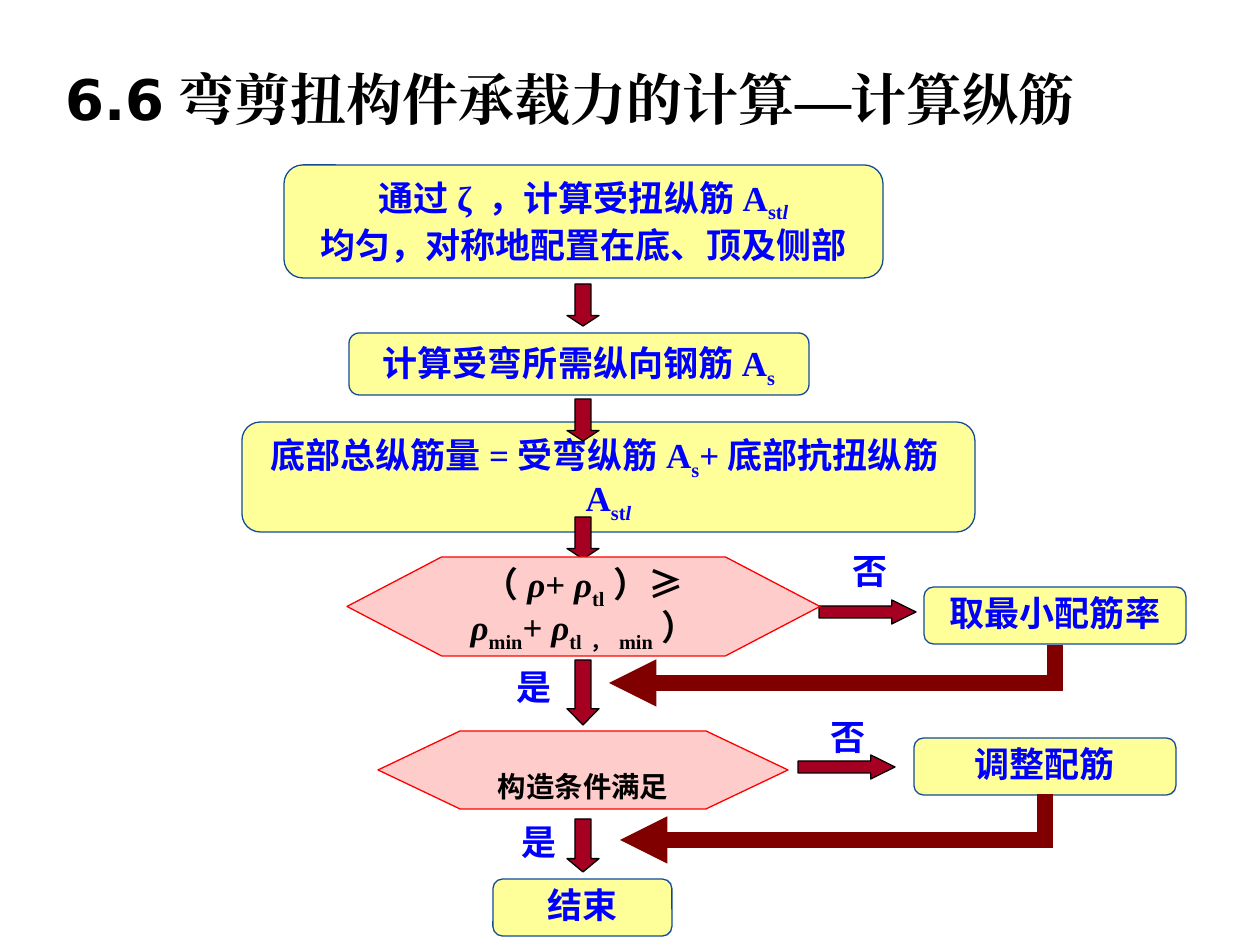
from lxml import etree
from pptx import Presentation
from pptx.dml.color import RGBColor
from pptx.enum.shapes import MSO_CONNECTOR, MSO_SHAPE
from pptx.enum.text import MSO_ANCHOR, PP_ALIGN
from pptx.oxml.ns import qn
from pptx.util import Pt

BOX = MSO_SHAPE.FLOWCHART_ALTERNATE_PROCESS
HEXAGON = MSO_SHAPE.FLOWCHART_PREPARATION
DOWN, RIGHT = MSO_SHAPE.DOWN_ARROW, MSO_SHAPE.RIGHT_ARROW
MIDDLE, TOP = MSO_ANCHOR.MIDDLE, MSO_ANCHOR.TOP
PX = 914400 / 126
SERIF, SANS, CJK = "Times New Roman", "DejaVu Sans", "Noto Sans CJK SC"
COLORS = {"box": "FFFF99", "box_line": "124B98", "hexagon": "FFCCCC",
          "hexagon_line": "FF0000", "arrow": "A50021", "return": "800000",
          "text": "0000FF", "black": "000000"}

# Text is a list of paragraphs; a paragraph is a list of (text, style) runs.
# Styles: "" plain, "i" italic, "s" subscript, "si" both.
TITLE = [[("6.6弯剪扭构件承载力的计算—计算纵筋 ", "")]]
TITLE_AT = (0, 59, 1155, 78)
STEPS = [
    ((284, 165, 599, 113),
     [[("通过ζ ，计算受扭纵筋A", ""), ("st", "s"), ("l", "si")],
      [("均匀，对称地配置在底、顶及侧部", "")]]),
    ((349, 333, 460, 62), [[("计算受弯所需纵向钢筋A", ""), ("s", "s")]]),
    ((242, 422, 733, 110),
     [[("底部总纵筋量=受弯纵筋A", ""), ("s", "s"), ("+底部抗扭纵筋A", ""),
       ("st", "s"), ("l", "si")]]),
    ((924, 587, 262, 57), [[("取最小配筋率", "")]]),
    ((914, 738, 262, 57), [[("调整配筋", "")]]),
    ((493, 879, 179, 57), [[("结束", "")]]),
]
DECISIONS = [
    ((347, 557, 473, 99), 20, MIDDLE,
     [[("（", ""), ("ρ", "i"), ("+ ", ""), ("ρ", "i"), ("tl", "s"), ("）≥ ", ""),
       ("ρ", "i"), ("min", "s"), ("+ ", ""), ("ρ", "i"), ("tl，min", "s"),
       ("）", "")]]),
    ((378, 731, 410, 78), 28, TOP, [[("构造条件满足", "s")]]),
]
FLOW_X, ARROW_W = 567, 32
DOWN_ARROWS = [(284, 42), (399, 42), (517, 42), (660, 65), (819, 53)]  # top, length
RIGHT_ARROWS = [(819, 600), (798, 755)]
RIGHT_SIZE = (97, 24)
RETURNS = [((1055, 645), (609, 683)), ((1045, 794), (620, 840))]
LABELS = [("否", 840, 548), ("是", 504, 664), ("否", 818, 714), ("是", 509, 819)]
LABEL_SIZE = (60, 50)

prs = Presentation()
prs.slide_width, prs.slide_height = int(1260 * PX), int(945 * PX)
s = prs.slides.add_slide(prs.slide_layouts[6])


def emu(*values):
    return [round(v * PX) for v in values]


def rgb(name):
    return RGBColor.from_string(COLORS[name])


def write(sp, paragraphs, size=20, color="text", font=SERIF, ea=CJK,
          anchor=MIDDLE, wrap=True, spacing=0.9):
    tf = sp.text_frame
    tf.word_wrap, tf.vertical_anchor = wrap, anchor
    for i, runs in enumerate(paragraphs):
        p = tf.paragraphs[0] if i == 0 else tf.add_paragraph()
        p.alignment, p.line_spacing = PP_ALIGN.CENTER, spacing
        if i:
            p.space_before = Pt(5)
        for text, style in runs:
            r = p.add_run()
            r.text = text
            look = {"size": Pt(size), "bold": True, "italic": "i" in style, "name": font}
            for key, value in look.items():
                setattr(r.font, key, value)
            r.font.color.rgb = rgb(color)
            rPr = r._r.get_or_add_rPr()
            if "s" in style:
                rPr.set("baseline", "-25000")
            etree.SubElement(rPr, qn("a:ea")).set("typeface", ea)


def add_shape(kind, at, fill, line):
    sp = s.shapes.add_shape(kind, *emu(*at))
    sp.shadow.inherit = False
    sp.fill.solid()
    sp.fill.fore_color.rgb = rgb(fill)
    sp.line.color.rgb = rgb(line)
    sp.line.width = Pt(0.75)
    return sp


def add_arrow(kind, at):
    """Block arrow whose head takes a quarter of its length."""
    sp = add_shape(kind, at, "arrow", "black")
    length, thickness = max(at[2:]), min(at[2:])
    sp.adjustments[1] = length / 4 / thickness


def add_return(start, end):
    """Elbow that runs down, then left: a bentConnector2 turned by 90 degrees."""
    (x1, y1), (x2, y2) = start, end
    cx, cy = (x1 + x2) / 2, (y1 + y2) / 2
    half_w, half_h = (y2 - y1) / 2, (x1 - x2) / 2
    c = s.shapes.add_connector(MSO_CONNECTOR.ELBOW, *emu(
        cx - half_w, cy - half_h, cx + half_w, cy + half_h))
    c.line.color.rgb = rgb("return")
    c.line.width = Pt(9)
    spPr = c._element.spPr
    spPr.find(qn("a:xfrm")).set("rot", "5400000")
    spPr.find(qn("a:prstGeom")).set("prst", "bentConnector2")
    ln = spPr.find(qn("a:ln"))
    etree.SubElement(ln, qn("a:miter")).set("lim", "800000")
    etree.SubElement(ln, qn("a:tailEnd")).set("type", "triangle")
    etree.SubElement(spPr, qn("a:effectLst"))


write(s.shapes.add_textbox(*emu(*TITLE_AT)), TITLE, 32, "black", SANS, SERIF, spacing=1.0)
for at, text in STEPS:
    write(add_shape(BOX, at, "box", "box_line"), text)
for top, length in DOWN_ARROWS:
    add_arrow(DOWN, (FLOW_X, top, ARROW_W, length))
for left_top in RIGHT_ARROWS:
    add_arrow(RIGHT, left_top + RIGHT_SIZE)
for at, size, anchor, text in DECISIONS:
    write(add_shape(HEXAGON, at, "hexagon", "hexagon_line"), text, size, "black", anchor=anchor)
for start, end in RETURNS:
    add_return(start, end)
for text, left, top in LABELS:
    write(s.shapes.add_textbox(*emu(left, top, *LABEL_SIZE)), [[(text, "")]],
          anchor=TOP, wrap=False)

prs.save("out.pptx")
